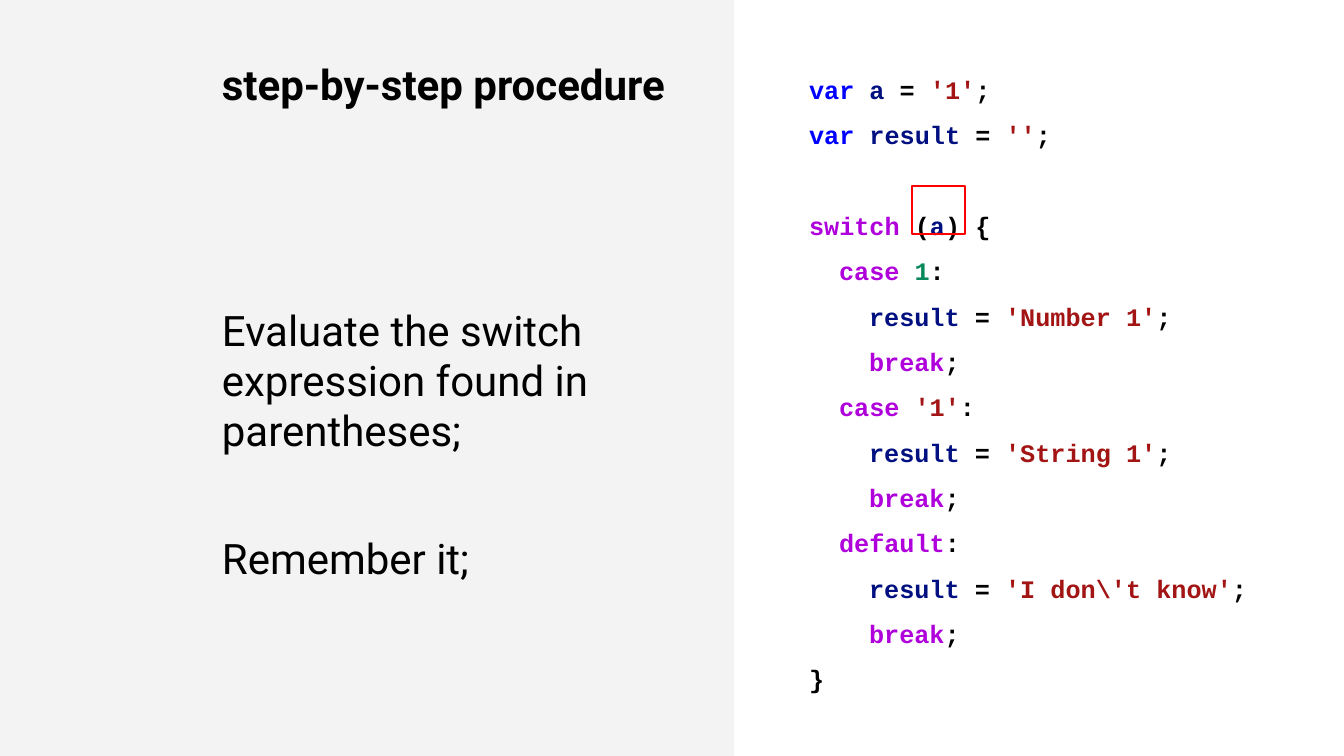
from pptx import Presentation
from pptx import util as u
from pptx.dml.color import RGBColor
from pptx.enum import shapes, text

SCALE = 914400 / 100.8
COLORS = {
    "background": "F3F3F3", "panel": "FFFFFF", "plain": "000000", "frame": "FF0000",
    "declaration": "0000FF", "name": "001080", "string": "A31515",
    "keyword": "AF00DB", "number": "09885A",
}


def px(length):
    return u.Emu(round(length * SCALE))


def color(name):
    return RGBColor.from_string(COLORS[name])


def add_run(paragraph, content, font="Roboto", size=30, bold=False, tint="plain"):
    run = paragraph.add_run()
    run.text = content
    run.font.name = font
    run.font.size = u.Pt(size)
    run.font.bold = bold
    run.font.color.rgb = color(tint)


class SlideBuilder:
    def __init__(self, presentation):
        self.slide = presentation.slides.add_slide(presentation.slide_layouts[6])
        background = self.slide.background.fill
        background.solid()
        background.fore_color.rgb = color("background")

    def rectangle(self, left, top, width, height, fill=None, line=None):
        shape = self.slide.shapes.add_shape(
            shapes.MSO_SHAPE.RECTANGLE, *map(px, (left, top, width, height)))
        shape.shadow.inherit = False
        if fill:
            shape.fill.solid()
            shape.fill.fore_color.rgb = color(fill)
        else:
            shape.fill.background()
        if line:
            shape.line.color.rgb = color(line)
            shape.line.width = u.Pt(1.5)
        else:
            shape.line.fill.background()
        return shape

    def text_box(self, left, top, width, height, paragraphs, gap=0, **style):
        shape = self.slide.shapes.add_textbox(*map(px, (left, top, width, height)))
        frame = shape.text_frame
        frame.word_wrap = True
        frame.vertical_anchor = text.MSO_ANCHOR.MIDDLE
        for index, content in enumerate(paragraphs):
            paragraph = frame.add_paragraph() if index else frame.paragraphs[0]
            paragraph.space_before = u.Pt(gap if index else 0)
            add_run(paragraph, content, **style)

    def code_panel(self, left, top, width, height, lines, pitch=32.4):
        frame = self.rectangle(left, top, width, height, fill="panel").text_frame
        frame.word_wrap = True
        frame.vertical_anchor = text.MSO_ANCHOR.TOP
        frame.margin_left = px(75)
        frame.margin_right = px(10)
        frame.margin_top = px(59)
        for index, (level, blank_before, tokens) in enumerate(lines):
            paragraph = frame.add_paragraph() if index else frame.paragraphs[0]
            paragraph.alignment = text.PP_ALIGN.LEFT
            paragraph.line_spacing = u.Pt(pitch)
            paragraph.space_before = u.Pt(pitch * blank_before)
            paragraph._p.get_or_add_pPr().set("marL", str(px(30 * level)))
            for tint, content in tokens:
                add_run(paragraph, content, font="Courier New", size=18, bold=True, tint=tint)


def declare(name, value):
    return 0, 0, [("declaration", "var "), ("name", name), ("plain", " = "),
                  ("string", value), ("plain", ";")]


def branch(label, message):
    return [
        (1, 0, label + [("plain", ":")]),
        (2, 0, [("name", "result"), ("plain", " = "), ("string", message), ("plain", ";")]),
        (2, 0, [("keyword", "break"), ("plain", ";")]),
    ]


CODE = [
    declare("a", "'1'"),
    declare("result", "''"),
    (0, 1, [("keyword", "switch"), ("plain", " ("), ("name", "a"), ("plain", ") {")]),
    *branch([("keyword", "case "), ("number", "1")], "'Number 1'"),
    *branch([("keyword", "case "), ("string", "'1'")], "'String 1'"),
    *branch([("keyword", "default")], r"'I don\'t know'"),
    (0, 0, [("plain", "}")]),
]

presentation = Presentation()
presentation.slide_width = px(1344)
presentation.slide_height = px(756)

builder = SlideBuilder(presentation)
builder.text_box(212, 0, 1004, 168, ["step-by-step procedure"], bold=True)
builder.text_box(212, 190, 505, 507, [
    "Evaluate the switch expression found in parentheses;",
    "Remember it;",
], gap=55)
builder.code_panel(734, 0, 610, 756, CODE)
builder.rectangle(912, 186, 53, 48, line="frame")

presentation.save("out.pptx")
